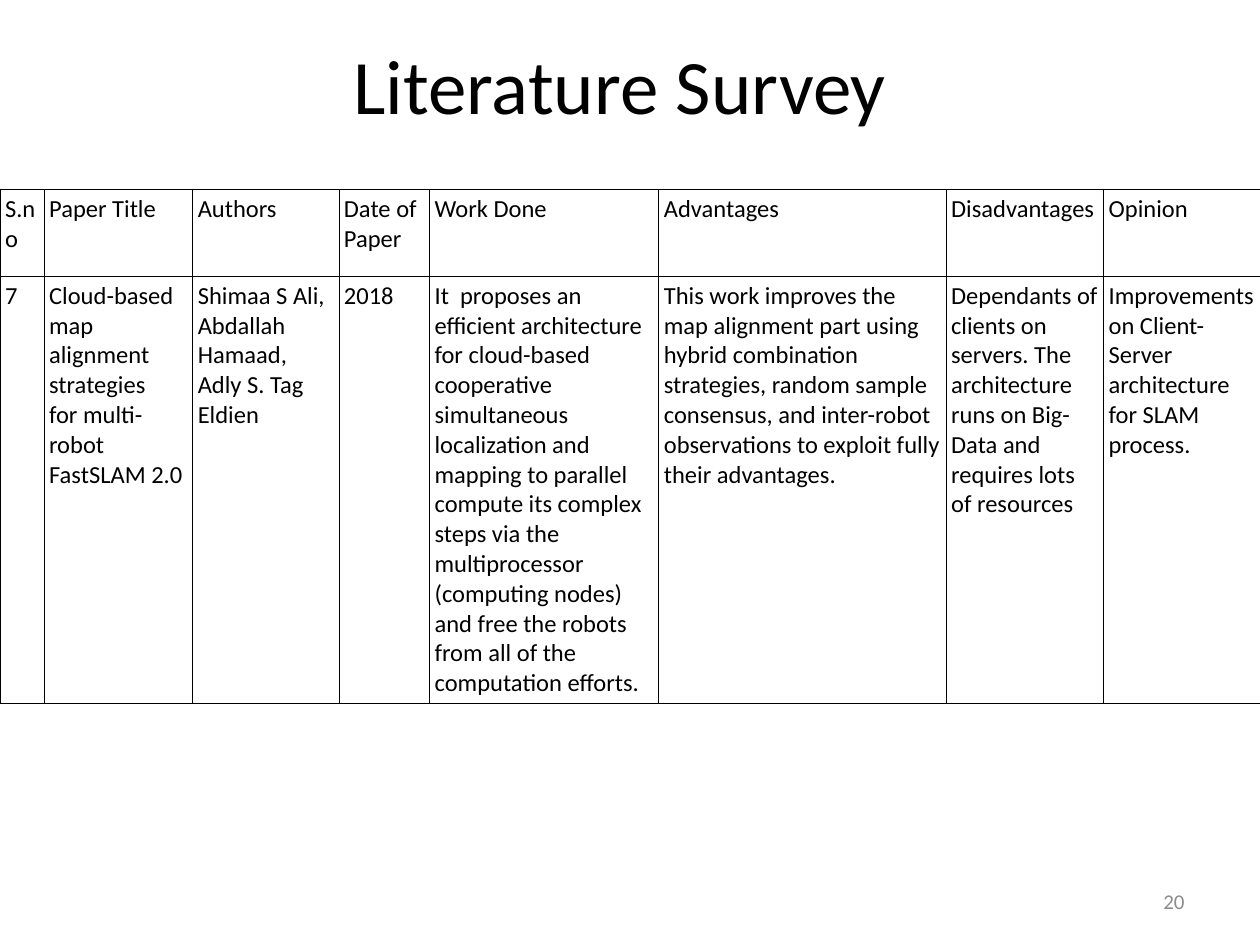
from dataclasses import dataclass

import pptx
import pptx.dml.color
import pptx.enum.text
import pptx.oxml
import pptx.oxml.ns
import pptx.util
from pptx.util import Inches

FONT = "Calibri"
COLORS = {"text": "000000", "page_number": "8C8C8C", "border": "000000"}
ALIGN = pptx.enum.text.PP_ALIGN


@dataclass(frozen=True)
class Column:
    heading: str
    entry: str
    width: float


@dataclass(frozen=True)
class Label:
    text: str
    left: float
    top: float
    width: float
    height: float
    size: int
    color: str
    align: ALIGN


LABELS = [
    Label("Literature Survey", 0.42, 0.04, 9, 1.25, 44, "text", ALIGN.CENTER),
    Label("20", 7.17, 6.95, 2.33, 0.4, 12, "page_number", ALIGN.RIGHT),
]

COLUMNS = [
    Column("S.no", "7", 0.35),
    Column("Paper Title",
           "Cloud-based map alignment strategies\nfor multi-robot FastSLAM 2.0", 1.18),
    Column("Authors", "Shimaa S Ali,\nAbdallah Hamaad,\nAdly S. Tag Eldien", 1.16),
    Column("Date of Paper", "2018", 0.72),
    Column("Work Done",
           "It  proposes an efficient architecture for cloud-based cooperative simultaneous\n"
           "localization and mapping to parallel compute its complex steps via the "
           "multiprocessor (computing nodes) and free the robots\n"
           "from all of the computation efforts.", 1.82),
    Column("Advantages",
           "This work improves the map alignment part using hybrid combination\n"
           "strategies, random sample consensus, and inter-robot observations to "
           "exploit fully their advantages.", 2.28),
    Column("Disadvantages",
           "Dependants of clients on servers. The architecture runs on Big-Data "
           "and requires lots of resources", 1.25),
    Column("Opinion", "Improvements on Client-Server architecture for SLAM process.", 1.25),
]
ROW_HEIGHTS = [0.69, 3.39]
CELL_MARGIN = 0.04


def write_text(frame: pptx.text.text.TextFrame, text: str, size: int, color: str,
               align: ALIGN = ALIGN.LEFT) -> None:
    frame.text = text
    frame.word_wrap = True
    for paragraph in frame.paragraphs:
        paragraph.alignment = align
        for run in paragraph.runs:
            run.font.name = FONT
            run.font.size = pptx.util.Pt(size)
            run.font.color.rgb = pptx.dml.color.RGBColor.from_string(COLORS[color])


def add_label(slide: pptx.slide.Slide, label: Label) -> None:
    box = slide.shapes.add_textbox(Inches(label.left), Inches(label.top),
                                   Inches(label.width), Inches(label.height))
    box.text_frame.vertical_anchor = pptx.enum.text.MSO_ANCHOR.MIDDLE
    write_text(box.text_frame, label.text, label.size, label.color, label.align)


def add_borders(cell: pptx.table._Cell) -> None:
    """Draw thin lines on all four sides; they must come before the fill."""
    properties = cell._tc.get_or_add_tcPr()
    for position, side in enumerate(("lnL", "lnR", "lnT", "lnB")):
        properties.insert(position, pptx.oxml.parse_xml(
            f'<a:{side} {pptx.oxml.ns.nsdecls("a")} w="{pptx.util.Pt(0.5)}">'
            f'<a:solidFill><a:srgbClr val="{COLORS["border"]}"/></a:solidFill></a:{side}>'))


def fill_cell(cell: pptx.table._Cell, text: str) -> None:
    cell.margin_left = cell.margin_right = Inches(CELL_MARGIN)
    cell.margin_top = cell.margin_bottom = Inches(CELL_MARGIN)
    cell.fill.background()
    add_borders(cell)
    write_text(cell.text_frame, text, 14, "text")


def add_survey_table(slide: pptx.slide.Slide) -> None:
    survey = slide.shapes.add_table(
        len(ROW_HEIGHTS), len(COLUMNS), Inches(0), Inches(1.5),
        Inches(sum(column.width for column in COLUMNS)), Inches(sum(ROW_HEIGHTS))).table
    survey.first_row = survey.horz_banding = False
    for row, height in zip(survey.rows, ROW_HEIGHTS):
        row.height = Inches(height)
    for index, column in enumerate(COLUMNS):
        survey.columns[index].width = Inches(column.width)
        fill_cell(survey.cell(0, index), column.heading)
        fill_cell(survey.cell(1, index), column.entry)


def main() -> None:
    presentation = pptx.Presentation()
    presentation.slide_width, presentation.slide_height = Inches(10), Inches(7.5)
    slide = presentation.slides.add_slide(presentation.slide_layouts[6])
    for label in LABELS:
        add_label(slide, label)
    add_survey_table(slide)
    presentation.save("out.pptx")


if __name__ == "__main__":
    main()
